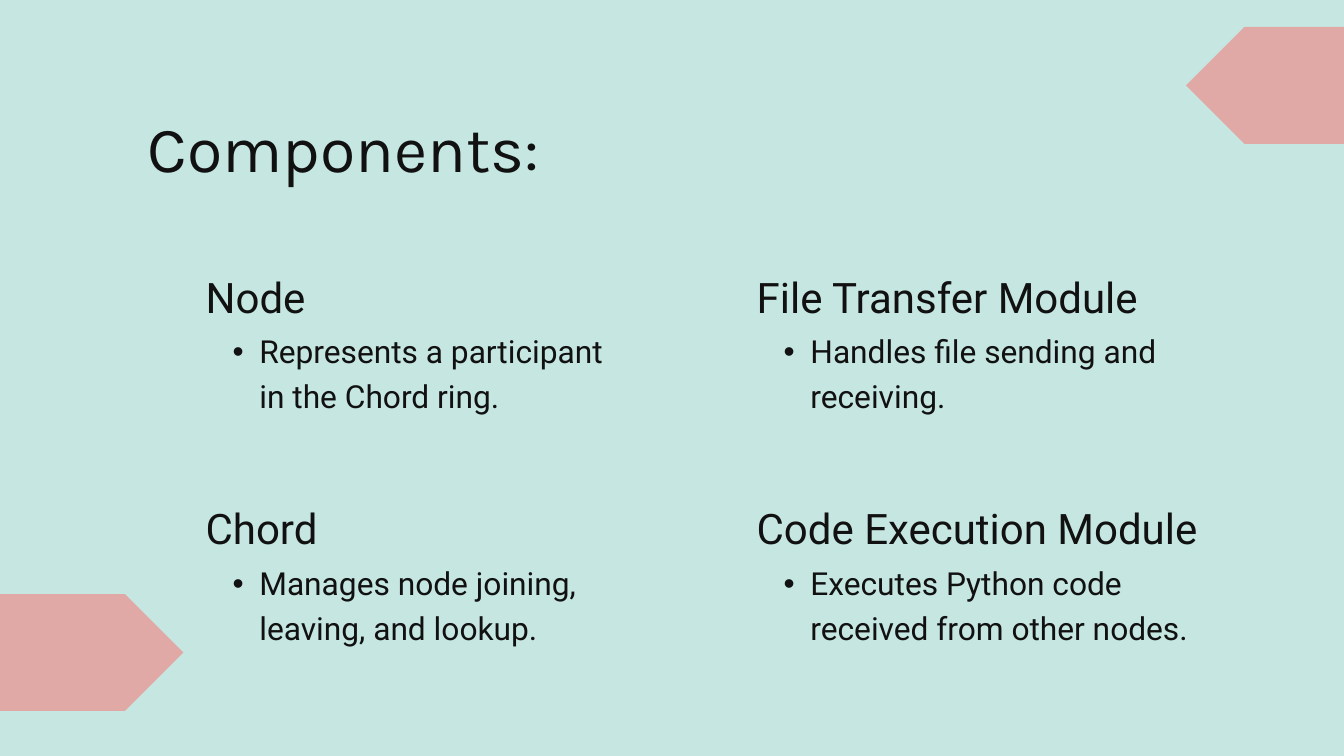
from lxml import etree
from pptx import Presentation, util as u
from pptx.dml.color import RGBColor
from pptx.enum import shapes, text
from pptx.oxml.ns import qn

WIDE, HIGH = 20, 11.25
COLORS = {"back": "C5E6E1", "tag": "E0A9A6", "ink": "111111"}
COLS = [(3.06, 6.35), (11.26, 6.92)]  # left, width
ROWS = [3.91, 7.36]
PARTS = [
    [("Node", "Represents a participant in the Chord ring."),
     ("File Transfer Module", "Handles file sending and receiving.")],
    [("Chord", "Manages node joining, leaving, and lookup."),
     ("Code Execution Module", "Executes Python code received from other nodes.")],
]


def paint(fill, name):
    fill.solid()
    fill.fore_color.rgb = RGBColor.from_string(COLORS[name])


def place(shape, left, top, width, height):
    shape.left, shape.top = u.Inches(left), u.Inches(top)
    shape.width, shape.height = u.Inches(width), u.Inches(height)


def write(shape, words, size, face, bullet=False):
    """Fill a frame with one paragraph, line pitch 1.4 times the size."""
    frame = shape.text_frame
    frame.word_wrap = True
    frame.auto_size = text.MSO_AUTO_SIZE.NONE
    frame.vertical_anchor = text.MSO_ANCHOR.TOP
    frame.margin_left = frame.margin_right = 0
    frame.margin_top = frame.margin_bottom = 0
    para = frame.paragraphs[0]
    para.line_spacing = u.Pt(round(size * 1.4, 1))
    if bullet:
        para.level = 1
        props = para._p.get_or_add_pPr()
        props.set("marL", str(u.Inches(0.8)))
        props.set("indent", str(u.Inches(-0.4)))
        font = etree.SubElement(props, qn("a:buFont"))
        font.set("typeface", "Arial")
        etree.SubElement(props, qn("a:buChar")).set("char", "•")
    run = para.add_run()
    run.text = words
    run.font.size = u.Pt(size)
    run.font.name = face
    run.font.bold = False
    run.font.color.rgb = RGBColor.from_string(COLORS["ink"])
    return para


def add_box(slide, left, top, width, height, *style):
    box = slide.shapes.add_textbox(0, 0, 0, 0)
    place(box, left, top, width, height)
    write(box, *style)


def add_tag(slide, left, top, turn=0):
    """Arrow-ended tag that runs off the slide's edge."""
    tag = slide.shapes.add_shape(shapes.MSO_SHAPE.PENTAGON, 0, 0, 0, 0)
    place(tag, left, top, 3.47, 1.74)
    tag.rotation = turn
    tag.shadow.inherit = False
    paint(tag.fill, "tag")
    tag.line.fill.background()


def add_part(slide, col, top, head, note):
    left, width = col
    add_box(slide, left, top, width, 0.83, head, 45, "Roboto")
    add_box(slide, left, top + 0.94, width, 1.94, note, 34, "Roboto", True)


def main():
    deck = Presentation()
    deck.slide_width, deck.slide_height = u.Inches(WIDE), u.Inches(HIGH)
    slide = deck.slides.add_slide(deck.slide_layouts[5])
    paint(slide.background.fill, "back")

    # Title
    title = slide.shapes.title
    place(title, 1.12, 1.42, 7.99, 1.29)
    write(title, "Components:", 69, "Karla").alignment = text.PP_ALIGN.CENTER

    # Corner tags
    add_tag(slide, 17.65, 0.4, 180)
    add_tag(slide, -0.74, 8.84)

    # Component grid
    for top, row in zip(ROWS, PARTS):
        for col, (head, note) in zip(COLS, row):
            add_part(slide, col, top, head, note)

    deck.save("out.pptx")


if __name__ == "__main__":
    main()
